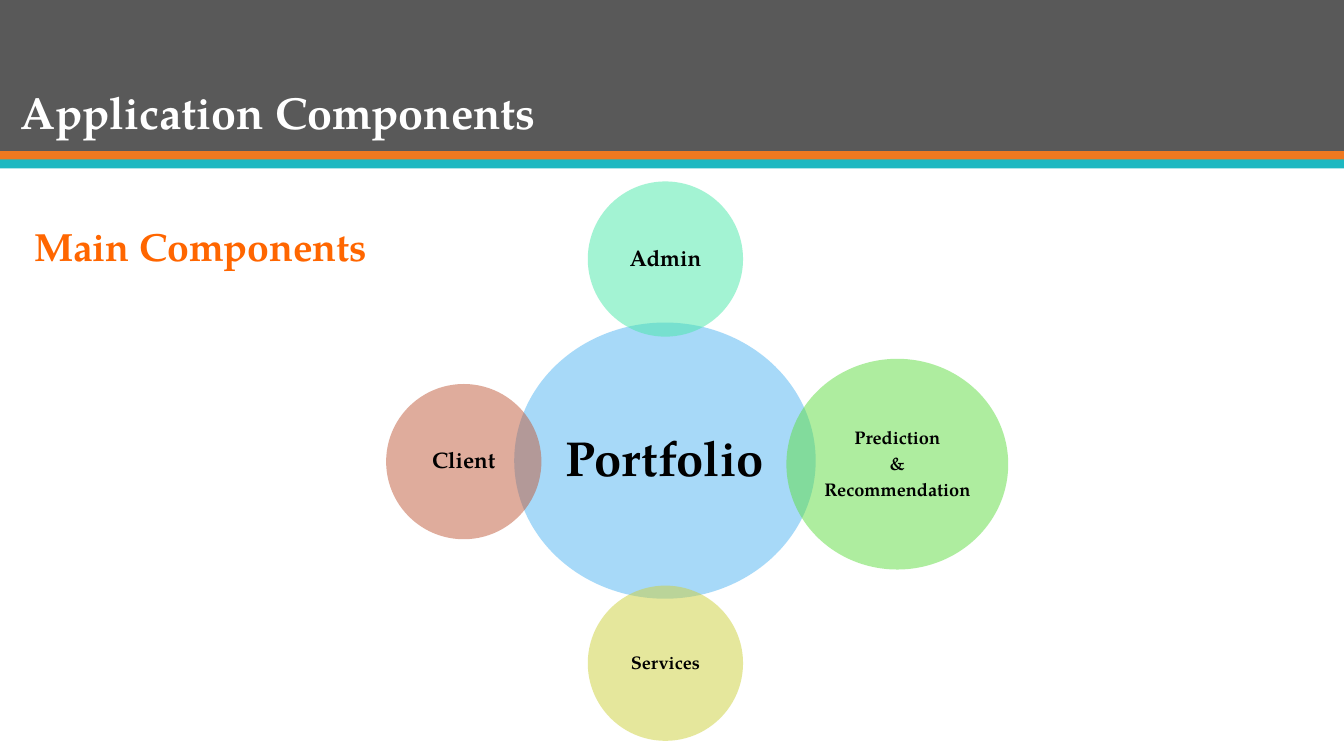
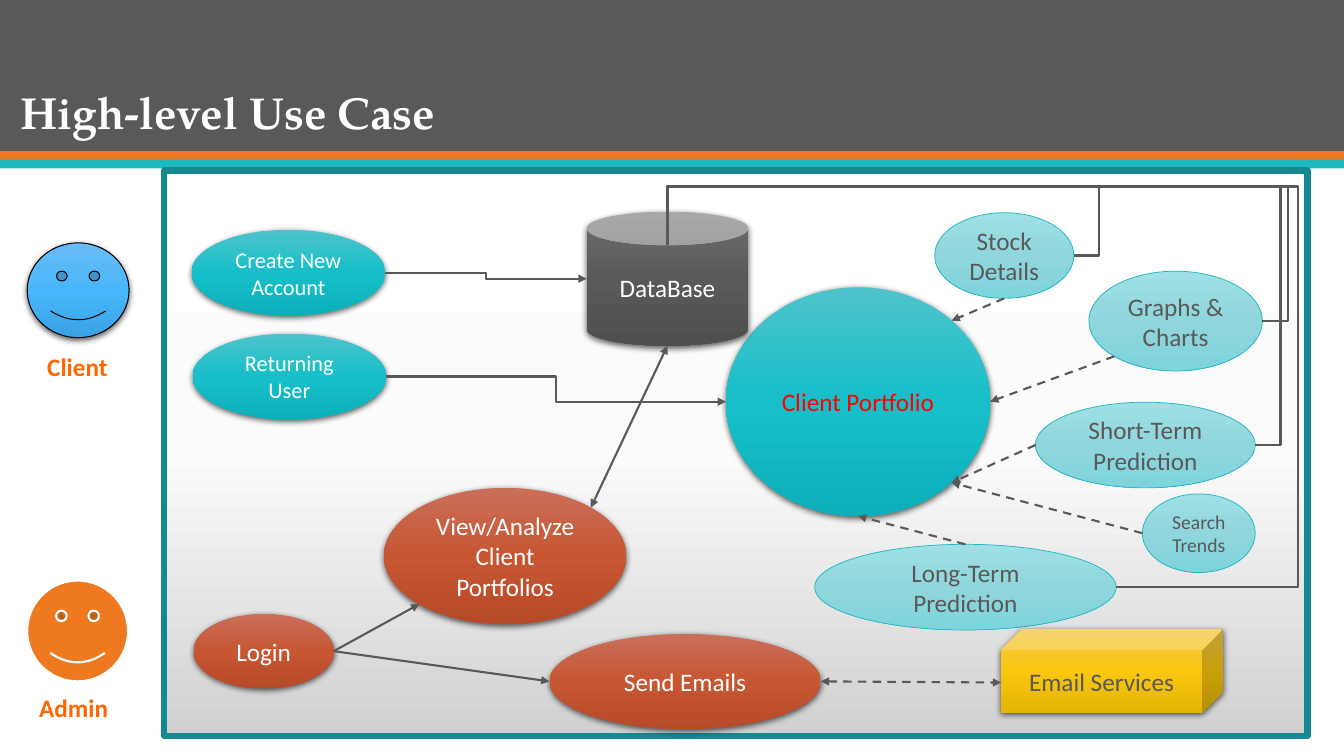
"""Builds two slides on an application's components and its use cases."""
from lxml.etree import SubElement
from pptx import Presentation
from pptx.dml.color import RGBColor
from pptx.enum.dml import MSO_LINE
from pptx.enum.shapes import MSO_CONNECTOR, MSO_SHAPE
from pptx.enum.text import MSO_ANCHOR, MSO_AUTO_SIZE, PP_ALIGN
from pptx.oxml import parse_xml
from pptx.oxml.ns import nsdecls, qn
from pptx.util import Inches, Pt

SERIF = "TeX Gyre Pagella"
SANS = "Calibri"

COLORS = {
    "gray": "595959", "orange": "EF7920", "teal": "1EB8C1",
    "heading": "FF6600", "white": "FFFFFF", "black": "000000", "red": "FF0000",
    "frame": "16888F", "blue": "50B4F2", "mint": "48E8A8",
    "green": "5EDD41", "olive": "CDD13B", "rust": "C05A3A",
}

GRADIENTS = {
    "sky": ("6ABCF5", "48B6FA", "39A3E5"),
    "panel": ("FFFFFF", "FBFBFB", "D1D1D1"),
    "teal": ("4EC3CB", "16BFC9", "0CB0BA"),
    "pale": ("9EE0E6", "91D6DC", "7DD4DC"),
    "rust": ("CA6F5A", "C75633", "B74A28"),
    "gray": ("6F6F6F", "595959", "4F4F4F"),
    "gold": ("F3C84E", "FAC70E", "E5B506"),
}

SITES = {
    "top": (0.5, 0), "bottom": (0.5, 1), "left": (0, 0.5), "right": (1, 0.5),
    "upper right": (0.854, 0.146), "lower right": (0.854, 0.854),
    "lower left": (0.146, 0.854), "lid": (0.5, 0.25), "front": (0, 0.64),
}

BANDS = [(0, 1.5, "gray"), (1.5, 0.09, "orange"), (1.58, 0.09, "teal")]

CIRCLES = [
    ("Portfolio", 1.27, 1.4, 2.99, 2.74, "blue", 35),
    ("Admin", 2, 0, 1.54, 1.54, "mint", 16),
    ("Prediction\n&\nRecommendation", 3.97, 1.76, 2.2, 2.09, "green", 13),
    ("Services", 2, 4.01, 1.54, 1.54, "olive", 13),
    ("Client", 0, 2.01, 1.54, 1.54, "rust", 16),
]

NODES = {
    "create": ("Create New Account", 0.27, 0.59, 1.92, 0.85, "teal", 16),
    "returning": ("Returning User", 0.28, 1.62, 1.92, 0.85, "teal", 16),
    "portfolio": ("Client Portfolio", 5.57, 1.16, 2.62, 2.27, "teal", 18),
    "database": ("DataBase", 4.19, 0.41, 1.6, 1.33, "gray", 18),
    "stock": ("Stock\nDetails", 7.64, 0.42, 1.38, 0.85, "pale", 18),
    "graphs": ("Graphs &\nCharts", 9.17, 1, 1.72, 0.99, "pale", 18),
    "short": ("Short-Term\nPrediction", 8.64, 2.3, 2.18, 0.85, "pale", 18),
    "long": ("Long-Term\nPrediction", 6.45, 3.71, 2.99, 0.85, "pale", 18),
    "login": ("Login", 0.29, 4.4, 1.39, 0.74, "rust", 18),
    "view": ("View/Analyze Client Portfolios", 2.18, 3.15, 2.4, 1.35, "rust", 18),
    "send": ("Send Emails", 3.82, 4.6, 2.69, 0.94, "rust", 18),
    "email": ("Email Services", 8.3, 4.55, 2.2, 0.83, "gold", 18),
    "trends": ("Search Trends", 9.7, 3.21, 1.12, 0.78, "pale", 14),
}

NODE_SHAPES = {"database": MSO_SHAPE.CAN, "email": MSO_SHAPE.CUBE}
NODE_TEXT = {"portfolio": "red", "email": "gray"}

ELBOWS = [
    ("create", "right", "database", "left"),
    ("returning", "right", "portfolio", "left"),
]
SOLID_ARROWS = [
    ("login", "right", "view", "lower left"),
    ("login", "right", "send", "left"),
]
DASHED_ARROWS = [
    ("stock", "bottom", "portfolio", "upper right"),
    ("graphs", "lower left", "portfolio", "right"),
    ("short", "left", "portfolio", "lower right"),
    ("long", "top", "portfolio", "bottom"),
    ("trends", "left", "portfolio", "lower right"),
]
BUS_TOP = 0.16
BUS_RAILS = [("stock", 9.27), ("graphs", 11.14), ("short", 11.07), ("long", 11.24)]


def color(name):
    return RGBColor.from_string(COLORS[name])


def set_gradient(shape, name):
    shape.fill.solid()
    stops = "".join(
        f'<a:gs pos="{position}"><a:srgbClr val="{value}"/></a:gs>'
        for position, value in zip((0, 50000, 100000), GRADIENTS[name]))
    gradient = parse_xml(
        f'<a:gradFill {nsdecls("a")} rotWithShape="1"><a:gsLst>{stops}</a:gsLst>'
        '<a:lin ang="5400000" scaled="0"/></a:gradFill>')
    properties = shape.element.spPr
    properties.replace(properties.find(qn("a:solidFill")), gradient)


def set_line(shape, name=None, width=1.5):
    if name is None:
        shape.line.fill.background()
    else:
        shape.line.color.rgb = color(name)
        shape.line.width = Pt(width)


def add_soft_shadow(shape):
    effects = shape.element.spPr.find(qn("a:effectLst"))
    effects.append(parse_xml(
        f'<a:outerShdw {nsdecls("a")} blurRad="57150" dist="19050" dir="5400000" '
        'algn="ctr" rotWithShape="0"><a:srgbClr val="000000">'
        '<a:alpha val="63000"/></a:srgbClr></a:outerShdw>'))


def add_figure(slide, kind, left, top, width, height):
    shape = slide.shapes.add_shape(
        kind, Inches(left), Inches(top), Inches(width), Inches(height))
    shape.shadow.inherit = False
    set_line(shape)
    return shape


def write_text(shape, text, size, font, name, bold=False, align=PP_ALIGN.CENTER):
    shape.text_frame.text = text
    for paragraph in shape.text_frame.paragraphs:
        paragraph.alignment = align
        paragraph.font.size = Pt(size)
        paragraph.font.name = font
        paragraph.font.bold = bold
        paragraph.font.color.rgb = color(name)


def add_label(slide, text, left, top, width, height, size, font):
    label = slide.shapes.add_textbox(
        Inches(left), Inches(top), Inches(width), Inches(height))
    label.text_frame.word_wrap = False
    write_text(label, text, size, font, "heading", True, PP_ALIGN.LEFT)


def move_bands_to_layout(slide):
    tree = slide.slide_layout.shapes.element
    for index, (top, height, name) in enumerate(BANDS):
        band = add_figure(slide, MSO_SHAPE.RECTANGLE, 0, top, 13.33, height or 1.5)
        band.fill.solid()
        band.fill.fore_color.rgb = color(name)
        band.element.nvSpPr.cNvPr.set("id", str(20 + index))
        tree.insert(2 + index, band.element)


def add_titled_slide(presentation, text):
    slide = presentation.slides.add_slide(presentation.slide_layouts[5])
    title = slide.shapes.title
    title.left, title.top = Inches(0.1), Inches(0.3)
    title.width, title.height = Inches(10.5), Inches(1.13)
    write_text(title, text, 32, SERIF, "white", True, PP_ALIGN.LEFT)
    title.text_frame.auto_size = MSO_AUTO_SIZE.NONE
    title.text_frame.vertical_anchor = MSO_ANCHOR.BOTTOM
    title.text_frame.paragraphs[0].line_spacing = 0.9
    return slide


def add_component_circles(slide, left, top):
    for text, x, y, width, height, name, size in CIRCLES:
        circle = add_figure(slide, MSO_SHAPE.OVAL, left + x, top + y, width, height)
        circle.fill.solid()
        circle.fill.fore_color.rgb = color(name)
        solid = circle.element.spPr.find(qn("a:solidFill"))
        SubElement(solid[0], qn("a:alpha"), val="50000")
        frame = circle.text_frame
        frame.margin_left = frame.margin_right = Inches(0.02)
        frame.margin_top = frame.margin_bottom = Inches(0.02)
        write_text(circle, text, size, SERIF, "black", True)
        for paragraph in frame.paragraphs:
            paragraph.line_spacing = 0.9
            paragraph.space_after = Pt(round(size * 0.35, 1))


def add_actors(slide, left, top):
    client = add_figure(slide, MSO_SHAPE.SMILEY_FACE, left, top, 1.01, 0.94)
    set_gradient(client, "sky")
    set_line(client, "black", 0.75)
    add_soft_shadow(client)
    admin = add_figure(slide, MSO_SHAPE.SMILEY_FACE, left, top + 3.35, 1, 1)
    admin.fill.solid()
    admin.fill.fore_color.rgb = color("orange")
    set_line(admin, "white")
    add_label(slide, "Client", left + 0.1, top + 1.03, 0.8, 0.4, 18, SANS)
    add_label(slide, "Admin", left + 0.02, top + 4.41, 0.89, 0.4, 18, SANS)


def add_node(slide, key, left, top):
    text, x, y, width, height, gradient, size = NODES[key]
    kind = NODE_SHAPES.get(key, MSO_SHAPE.OVAL)
    node = add_figure(slide, kind, left + x, top + y, width, height)
    set_gradient(node, gradient)
    if gradient == "pale":
        set_line(node, "teal", 0.5)
    else:
        add_soft_shadow(node)
    default = "gray" if gradient == "pale" else "white"
    write_text(node, text, size, SANS, NODE_TEXT.get(key, default))
    return node


def find_site(shape, site):
    across, down = SITES[site]
    return (int(shape.left + across * shape.width),
            int(shape.top + down * shape.height))


def add_arrow(slide, nodes, route, kind=MSO_CONNECTOR.STRAIGHT,
              dashed=False, both_ends=False):
    start, start_site, end, end_site = route
    arrow = slide.shapes.add_connector(
        kind, *find_site(nodes[start], start_site), *find_site(nodes[end], end_site))
    set_line(arrow, "gray")
    if dashed:
        arrow.line.dash_style = MSO_LINE.DASH
    properties = arrow.element.spPr
    line = properties.find(qn("a:ln"))
    if both_ends:
        SubElement(line, qn("a:headEnd"), type="triangle")
    SubElement(line, qn("a:tailEnd"), type="triangle")
    SubElement(properties, qn("a:effectLst"))


def add_database_bus(slide, nodes, left, top):
    start_x, start_y = find_site(nodes["database"], "lid")
    bus_y = Inches(top + BUS_TOP)
    for key, rail in BUS_RAILS:
        rail_x = Inches(left + rail)
        end_x, end_y = find_site(nodes[key], "right")
        builder = slide.shapes.build_freeform(start_x, start_y)
        builder.add_line_segments(
            [(start_x, bus_y), (rail_x, bus_y), (rail_x, end_y), (end_x, end_y)],
            close=False)
        path_line = builder.convert_to_shape()
        path_line.shadow.inherit = False
        path_line.fill.background()
        set_line(path_line, "gray")


def add_use_case_panel(slide, left, top, width, height):
    panel = add_figure(slide, MSO_SHAPE.RECTANGLE, left, top, width, height)
    set_gradient(panel, "panel")
    set_line(panel, "frame", 4.5)
    nodes = {key: add_node(slide, key, left, top) for key in NODES}
    for route in ELBOWS:
        add_arrow(slide, nodes, route, MSO_CONNECTOR.ELBOW)
    add_database_bus(slide, nodes, left, top)
    for route in SOLID_ARROWS:
        add_arrow(slide, nodes, route)
    for route in DASHED_ARROWS:
        add_arrow(slide, nodes, route, dashed=True)
    add_arrow(slide, nodes, ("database", "bottom", "view", "upper right"),
              both_ends=True)
    add_arrow(slide, nodes, ("send", "right", "email", "front"),
              dashed=True, both_ends=True)


def main():
    presentation = Presentation()
    presentation.slide_width, presentation.slide_height = Inches(13.33), Inches(7.5)

    components = add_titled_slide(presentation, "Application Components")
    move_bands_to_layout(components)
    add_component_circles(components, 3.83, 1.8)
    add_label(components, "Main Components", 0.24, 2.16, 3.55, 0.57, 28, SERIF)

    use_case = add_titled_slide(presentation, "High-level Use Case")
    add_actors(use_case, 0.27, 2.41)
    add_use_case_panel(use_case, 1.63, 1.69, 11.34, 5.61)

    presentation.save("out.pptx")


if __name__ == "__main__":
    main()
